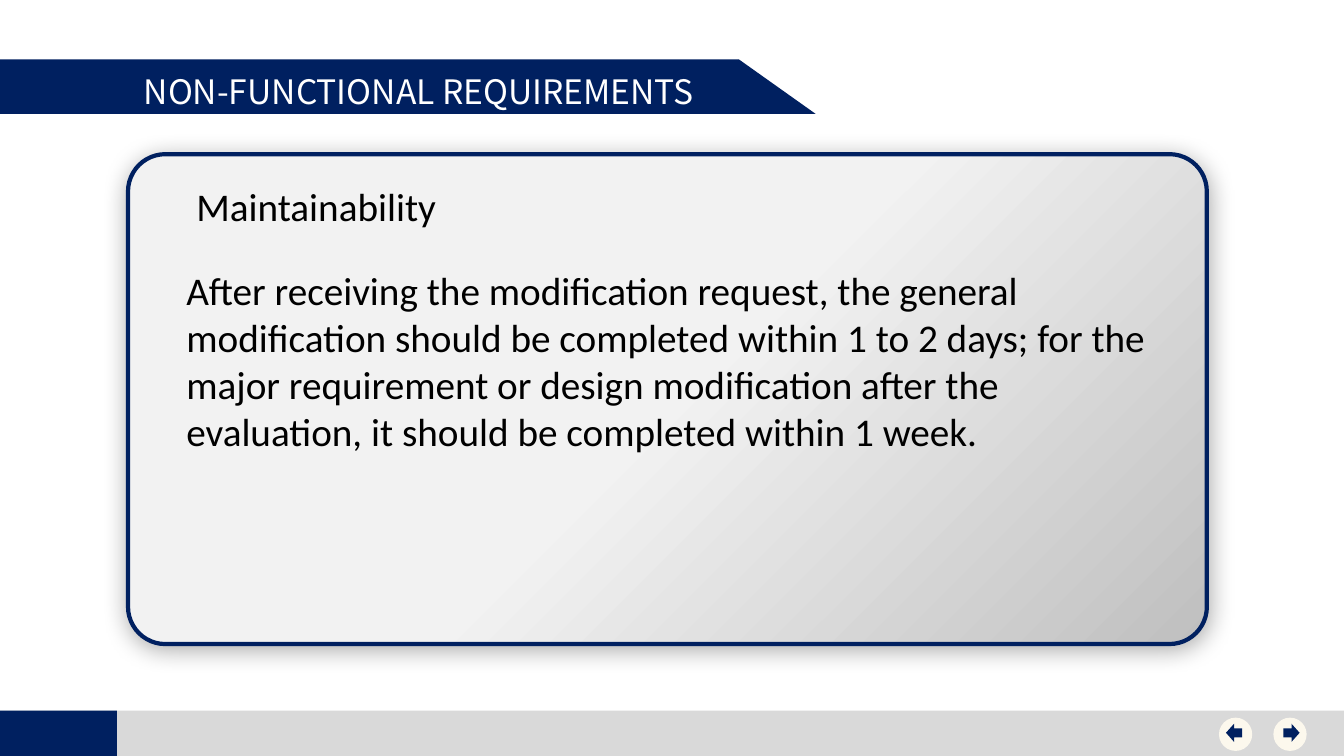
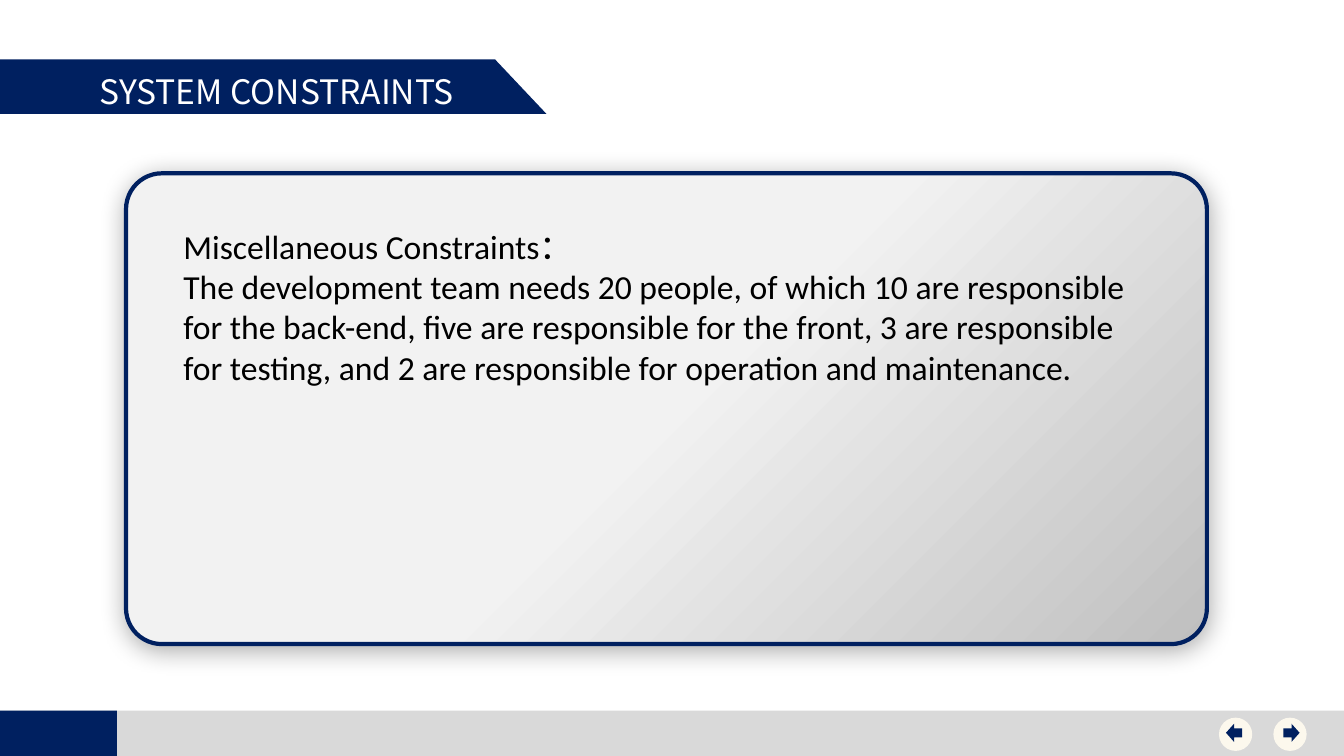
"""Build two requirement slides that share a title banner, a gradient card and a footer."""
from lxml.etree import SubElement
from pptx import Presentation
from pptx.dml.color import RGBColor
from pptx.enum.shapes import MSO_SHAPE as Preset
from pptx.oxml.ns import qn
from pptx.util import Inches, Pt

NAVY = RGBColor(0x00, 0x20, 0x60)
GREY = RGBColor(0xD9, 0xD9, 0xD9)
CREAM = RGBColor(0xFC, 0xF8, 0xED)
WHITE = RGBColor(0xFF, 0xFF, 0xFF)
BLACK = RGBColor(0x00, 0x00, 0x00)
CARD_STOPS = ((0.5, RGBColor(0xF2, 0xF2, 0xF2)), (1, RGBColor(0xBF, 0xBF, 0xBF)))

SLIDES = [
    {
        "title": "NON-FUNCTIONAL REQUIREMENTS",
        "banner_width": 8.09,
        "card": (1.27, 1.53, 10.7, 4.86),
        "size": 28,
        "texts": [
            ((1.75, 2.59, 9.75, 1.98), [
                "After receiving the modification request, the general modification should be "
                "completed within 1 to 2 days; for the major requirement or design modification "
                "after the evaluation, it should be completed within 1 week."]),
            ((1.85, 1.76, 4.58, 0.57), ["Maintainability"]),
        ],
    },
    {
        "title": "SYSTEM CONSTRAINTS",
        "banner_width": 5.42,
        "card": (1.25, 1.72, 10.72, 4.67),
        "size": 24,
        "texts": [
            ((1.72, 2.19, 9.78, 1.72), [
                "Miscellaneous Constraints：",
                "The development team needs 20 people, of which 10 are responsible for the "
                "back-end, five are responsible for the front, 3 are responsible for testing, "
                "and 2 are responsible for operation and maintenance."]),
        ],
    },
]

COLUMNS, ROWS = 13.33, 7.5
FOOTER_TOP, FOOTER_TAB = 7.05, 1.16
BANNER_TOP, BANNER_HEIGHT = 0.59, 0.54
BANNER_BODY, BANNER_INDENT = 0.906, 0.164
BUTTON_TOP, BUTTON_SIZE = 7.12, 0.33
ARROW_TOP, ARROW_WIDTH, ARROW_HEIGHT = 7.18, 0.16, 0.18
BUTTONS = [(12.63, 0.1, Preset.RIGHT_ARROW), (12.09, 0.07, Preset.LEFT_ARROW)]
TITLE_FORMAT = {"name": "Noto Sans CJK SC", "size": Pt(24)}
CARD_SHADOW = {"blurRad": Pt(17.8), "dist": Pt(3), "dir": 87 * 60000,
               "algn": "ctr", "rotWithShape": 0}


def cells(box):
    return [Inches(length) for length in box]


def add_block(slide, preset, box, color):
    block = slide.shapes.add_shape(preset, *cells(box))
    block.shadow.inherit = False
    block.fill.solid()
    block.fill.fore_color.rgb = color
    block.line.fill.background()


def add_text(slide, box, lines, color, font_format):
    frame = slide.shapes.add_textbox(*cells(box)).text_frame
    frame.word_wrap = True
    frame.text = "\n".join(lines)
    for paragraph in frame.paragraphs:
        font = paragraph.runs[0].font
        font.color.rgb = color
        for key, value in font_format.items():
            setattr(font, key, value)


def add_footer(slide):
    height = ROWS - FOOTER_TOP
    add_block(slide, Preset.RECTANGLE, (0, FOOTER_TOP, COLUMNS, height), GREY)
    add_block(slide, Preset.RECTANGLE, (0, FOOTER_TOP, FOOTER_TAB, height), NAVY)


def add_banner(slide, title, width):
    body, indent = width * BANNER_BODY, width * BANNER_INDENT
    add_block(slide, Preset.RECTANGLE, (0, BANNER_TOP, body, BANNER_HEIGHT), NAVY)
    add_block(slide, Preset.RIGHT_TRIANGLE,
              (body, BANNER_TOP, width - body, BANNER_HEIGHT), NAVY)
    add_text(slide, (indent, 0.65, width - indent, 0.5), [title], WHITE, TITLE_FORMAT)


def add_buttons(slide):
    for left, inset, arrow in BUTTONS:
        add_block(slide, Preset.OVAL, (left, BUTTON_TOP, BUTTON_SIZE, BUTTON_SIZE), CREAM)
        add_block(slide, arrow, (left + inset, ARROW_TOP, ARROW_WIDTH, ARROW_HEIGHT), NAVY)


def add_card(slide, box):
    card = slide.shapes.add_shape(Preset.ROUNDED_RECTANGLE, *cells(box))
    card.adjustments[0] = 0.076
    card.fill.gradient()
    card.fill.gradient_angle = 315
    for stop, (position, color) in zip(card.fill.gradient_stops, CARD_STOPS):
        stop.position = position
        stop.color.rgb = color
    card.line.color.rgb = NAVY
    card.line.width = Pt(3)
    card.shadow.inherit = False
    effects = card.element.spPr.find(qn("a:effectLst"))
    shadow = SubElement(effects, qn("a:outerShdw"),
                        {key: str(value) for key, value in CARD_SHADOW.items()})
    tint = SubElement(shadow, qn("a:srgbClr"), val=str(BLACK))
    SubElement(tint, qn("a:alpha"), val="33000")


deck = Presentation()
deck.slide_width, deck.slide_height = cells((COLUMNS, ROWS))
for content in SLIDES:
    page = deck.slides.add_slide(deck.slide_layouts[6])
    add_footer(page)
    add_banner(page, content["title"], content["banner_width"])
    add_buttons(page)
    add_card(page, content["card"])
    for text_box, text_lines in content["texts"]:
        add_text(page, text_box, text_lines, BLACK,
                 {"name": "Calibri", "size": Pt(content["size"])})
deck.save("out.pptx")
